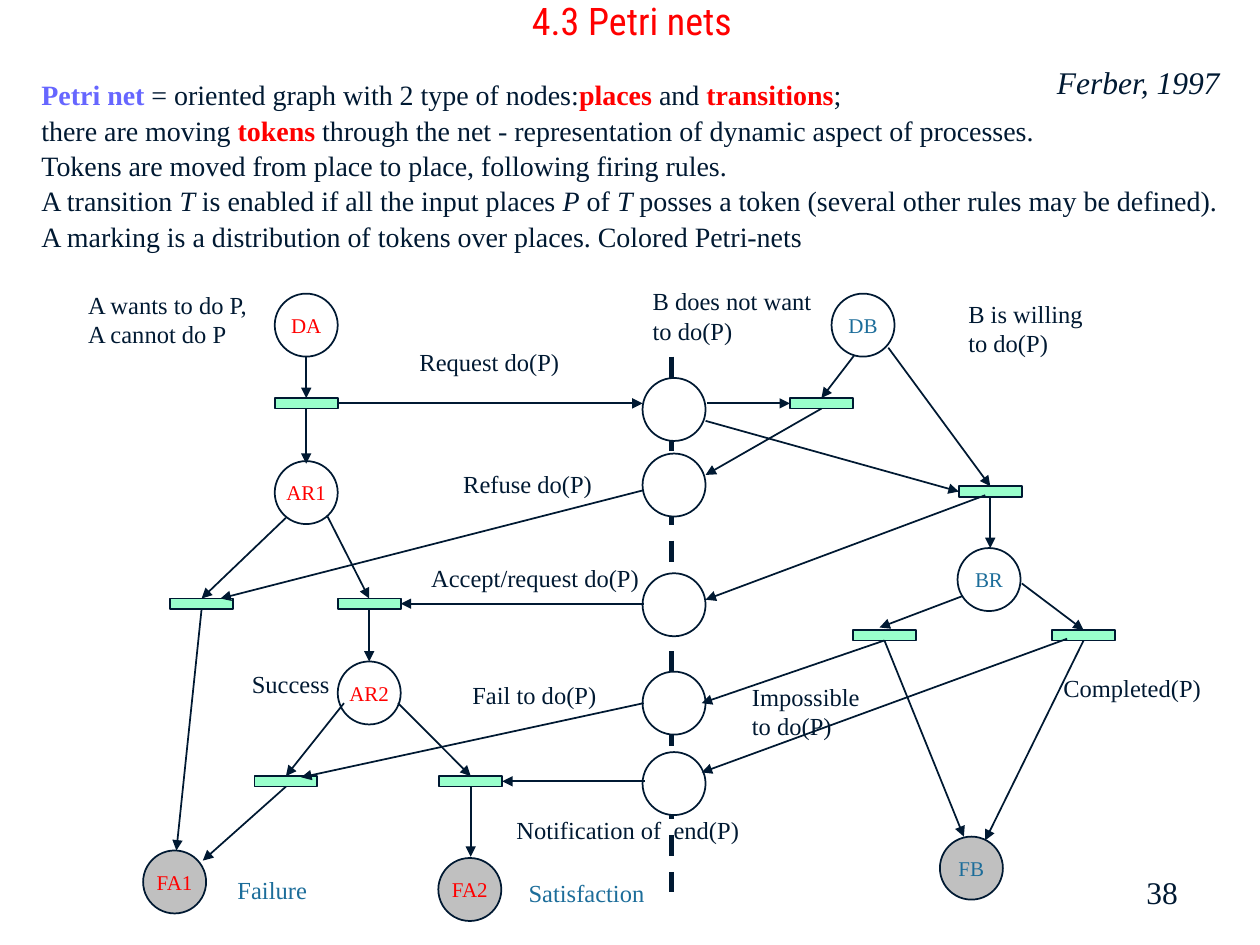
from lxml.etree import SubElement
from pptx import Presentation
from pptx.dml.color import RGBColor
from pptx.enum.dml import MSO_LINE
from pptx.enum.shapes import MSO_CONNECTOR, MSO_SHAPE
from pptx.enum.text import MSO_ANCHOR, MSO_AUTO_SIZE, PP_ALIGN
from pptx.oxml.ns import qn
from pptx.util import Pt

COLORS = {"ink": "001932", "red": "FF0000", "blue": "1C6D9A", "violet": "6666FF",
          "mint": "99FFCC", "grey": "C0C0C0", "white": "FFFFFF"}
SERIF = "Times New Roman"
PLACE_SIZE = 36
BAR_WIDTH, BAR_HEIGHT = 36, 6
TOP, LEFT, BOTTOM, RIGHT = range(4)

# Places: label, left, top, label colour, fill
PLACES = [
    ("DA", 157, 167.8, "red", None), ("AR1", 157, 263.5, "red", None),
    ("AR2", 193, 378, "red", None), ("FA1", 81.8, 486, "red", "grey"),
    ("FA2", 250.5, 490.3, "red", "grey"), ("DB", 475.2, 167.8, "blue", None),
    ("BR", 547.2, 313.2, "blue", None), ("FB", 537.1, 478.1, "blue", "grey"),
]
CHANNEL_LEFT = 367.2
CHANNEL_TOPS = [216, 259.2, 327.6, 383.8, 429.8]

# Transitions: left, top
TRANSITIONS = {
    "request": (157, 227.5), "refused": (97.2, 342), "accepted": (193, 342),
    "failed": (145.4, 443.5), "ended": (251, 443.5), "unwilling": (451.4, 227.5),
    "willing": (547.9, 277.9), "impossible": (487.4, 360), "completed": (601.2, 360),
}

# Arcs: each end is a point or a (transition, side) pair
ARCS = [
    # Agent A
    ((175, 203.8), ("request", TOP)), (("request", BOTTOM), (175, 265)),
    ((163.4, 295.9), ("refused", TOP)), ((187.2, 295.2), ("accepted", TOP)),
    (("accepted", BOTTOM), (211, 378)), ((196.6, 401.8), ("failed", TOP)),
    ((227.5, 401.8), ("ended", TOP)), (("failed", BOTTOM), (115.9, 491.8)),
    (("refused", BOTTOM), (100.8, 486)), (("ended", BOTTOM), (269, 489.6)),
    # Between agent A and the channel
    (("request", RIGHT), (367.2, 230.5)), ((367.9, 280.1), (126, 342)),
    ((367.9, 345), ("accepted", RIGHT)), ((367.9, 401.8), (172.1, 444.2)),
    ((368.6, 446.5), ("ended", RIGHT)),
    # Between the channel and agent B
    ((403.9, 230.5), ("unwilling", LEFT)), ((403.2, 240.5), ("willing", LEFT)),
    (("unwilling", BOTTOM), (403.2, 271.4)), ((563, 283), (403.2, 342.7)),
    (("impossible", BOTTOM), (401, 401.8)), ((609.8, 365), (401, 441.4)),
    # Agent B
    ((488.2, 203), ("unwilling", TOP)), ((507.6, 198.7), ("willing", TOP)),
    (("willing", BOTTOM), (565.9, 313.2)), ((550.1, 340.6), (502.6, 358.6)),
    ((583.9, 333.4), ("completed", TOP)), (("impossible", BOTTOM), (550.8, 478.1)),
    (("completed", BOTTOM), (563, 480.2)),
]

# Labels: lines, left, top, width, colour
LABELS = [
    (["A wants to do P,", "A cannot do P"], 43.2, 162, 112, "ink"),
    (["Request do(P)"], 232.6, 194.8, 99, "ink"),
    (["Refuse do(P)"], 257.6, 264.6, 93, "ink"),
    (["Accept/request do(P)"], 239.3, 318, 138, "ink"),
    (["Fail to do(P)"], 262.8, 384.8, 90, "ink"),
    (["Notification of  end(P)"], 288, 462.2, 147, "ink"),
    (["Success"], 136.8, 379, 63, "ink"),
    (["Failure"], 128.6, 496.4, 59, "blue"),
    (["Satisfaction"], 295, 498.2, 86, "blue"),
    (["B does not want", "to do(P)"], 365.8, 160, 110, "ink"),
    (["B is willing", "to do(P)"], 546.2, 167.3, 85, "ink"),
    (["Impossible", "to do(P)"], 422.6, 385.9, 81, "ink"),
    (["Completed(P)"], 600.5, 380.9, 98, "ink"),
]

# Definition: paragraphs of (text, style) runs
DEFINITION = [
    [("Petri net", "term"), (" = oriented graph with 2 type of nodes:", ""),
     ("places", "key"), (" and ", ""), ("transitions", "key"), (";", "")],
    [("there are moving ", ""), ("tokens", "key"),
     (" through the net - representation of dynamic aspect of processes.", "")],
    [("Tokens are moved from place to place, following firing rules.", "")],
    [("A transition ", ""), ("T", "symbol"), (" is enabled if all the input places ", ""),
     ("P", "symbol"), (" of ", ""), ("T", "symbol"),
     (" posses a token (several other rules may be defined).", "")],
    [("A marking is a distribution of tokens over places. Colored Petri-nets", "")],
]
STYLE_COLORS = {"term": "violet", "key": "red"}


def rgb(name):
    return RGBColor.from_string(COLORS[name])


def format_run(run, size, color, font=SERIF, bold=False, italic=False):
    run.font.name, run.font.size = font, Pt(size)
    run.font.bold, run.font.italic = bold, italic
    run.font.color.rgb = rgb(color)


def add_text(slide, lines, left, top, width, height, size, color, italic=False):
    frame = slide.shapes.add_textbox(Pt(left), Pt(top), Pt(width), Pt(height)).text_frame
    frame.word_wrap = False
    frame.auto_size = MSO_AUTO_SIZE.SHAPE_TO_FIT_TEXT
    frame.text = "\n".join(lines)
    for paragraph in frame.paragraphs:
        for run in paragraph.runs:
            format_run(run, size, color, italic=italic)


def add_node(slide, kind, left, top, width, height, fill):
    node = slide.shapes.add_shape(kind, Pt(left), Pt(top), Pt(width), Pt(height))
    node.shadow.inherit = False
    node.line.color.rgb, node.line.width = rgb("ink"), Pt(1)
    if fill:
        node.fill.solid()
        node.fill.fore_color.rgb = rgb(fill)
    else:
        node.fill.background()
    return node


def add_place(slide, left, top, fill, label="", color="ink"):
    place = add_node(slide, MSO_SHAPE.OVAL, left, top, PLACE_SIZE, PLACE_SIZE, fill)
    if label:
        frame = place.text_frame
        frame.word_wrap = False
        frame.vertical_anchor = MSO_ANCHOR.MIDDLE
        frame.text = label
        frame.paragraphs[0].alignment = PP_ALIGN.CENTER
        format_run(frame.paragraphs[0].runs[0], 12, color)


def add_line(slide, start, end, width):
    line = slide.shapes.add_connector(
        MSO_CONNECTOR.STRAIGHT, *(Pt(value) for value in (*start, *end)))
    line.line.color.rgb, line.line.width = rgb("ink"), Pt(width)
    SubElement(line._element.spPr, qn("a:effectLst"))
    return line


def add_arc(slide, bars, start, end):
    glued_start, glued_end = start[0] in bars, end[0] in bars
    arc = add_line(slide, (0, 0) if glued_start else start, (0, 0) if glued_end else end, 1)
    if glued_start:
        arc.begin_connect(bars[start[0]], start[1])
    if glued_end:
        arc.end_connect(bars[end[0]], end[1])
    SubElement(arc.line._get_or_add_ln(), qn("a:tailEnd"), type="triangle")


def add_title(slide):
    frame = slide.shapes.add_textbox(Pt(198), Pt(0), Pt(253.4), Pt(39.6)).text_frame
    frame.word_wrap = True
    frame.margin_left = Pt(106)
    frame.text = "4.3 Petri nets"
    heading = frame.paragraphs[0]
    heading.line_spacing, heading.space_before = 0.8, Pt(7)
    format_run(heading.runs[0], 21.7, "red", font="Roboto Condensed")


def add_definition(slide):
    frame = slide.shapes.add_textbox(Pt(16.6), Pt(41), Pt(690), Pt(107.3)).text_frame
    frame.word_wrap = False
    frame.auto_size = MSO_AUTO_SIZE.SHAPE_TO_FIT_TEXT
    for index, parts in enumerate(DEFINITION):
        paragraph = frame.add_paragraph() if index else frame.paragraphs[0]
        paragraph.space_before = Pt(1)
        for text, style in parts:
            run = paragraph.add_run()
            run.text = text
            format_run(run, 16, STYLE_COLORS.get(style, "ink"),
                       bold=style in STYLE_COLORS, italic=style == "symbol")


def main():
    deck = Presentation()
    deck.slide_width, deck.slide_height = Pt(720), Pt(540)
    slide = deck.slides.add_slide(deck.slide_layouts[6])

    # Channel between the two agents
    divider = add_line(slide, (383.8, 203.8), (383.8, 509.8), 3)
    divider.line.dash_style = MSO_LINE.DASH
    for top in CHANNEL_TOPS:
        add_place(slide, CHANNEL_LEFT, top, "white")

    # Places, transitions and arcs
    for label, left, top, color, fill in PLACES:
        add_place(slide, left, top, fill, label, color)
    bars = {name: add_node(slide, MSO_SHAPE.RECTANGLE, left, top, BAR_WIDTH, BAR_HEIGHT, "mint")
            for name, (left, top) in TRANSITIONS.items()}
    for start, end in ARCS:
        add_arc(slide, bars, start, end)

    # Labels of the net
    for lines, left, top, width, color in LABELS:
        add_text(slide, lines, left, top, width, 7.7 + 16.8 * len(lines), 14, color)

    # Title, definition, citation and page number
    add_title(slide)
    add_definition(slide)
    add_text(slide, ["Ferber, 1997"], 596.9, 32.4, 112, 28.8, 18, "ink", italic=True)
    add_text(slide, ["38"], 648, 495.4, 36, 28.8, 18, "ink")

    deck.save("out.pptx")


if __name__ == "__main__":
    main()
